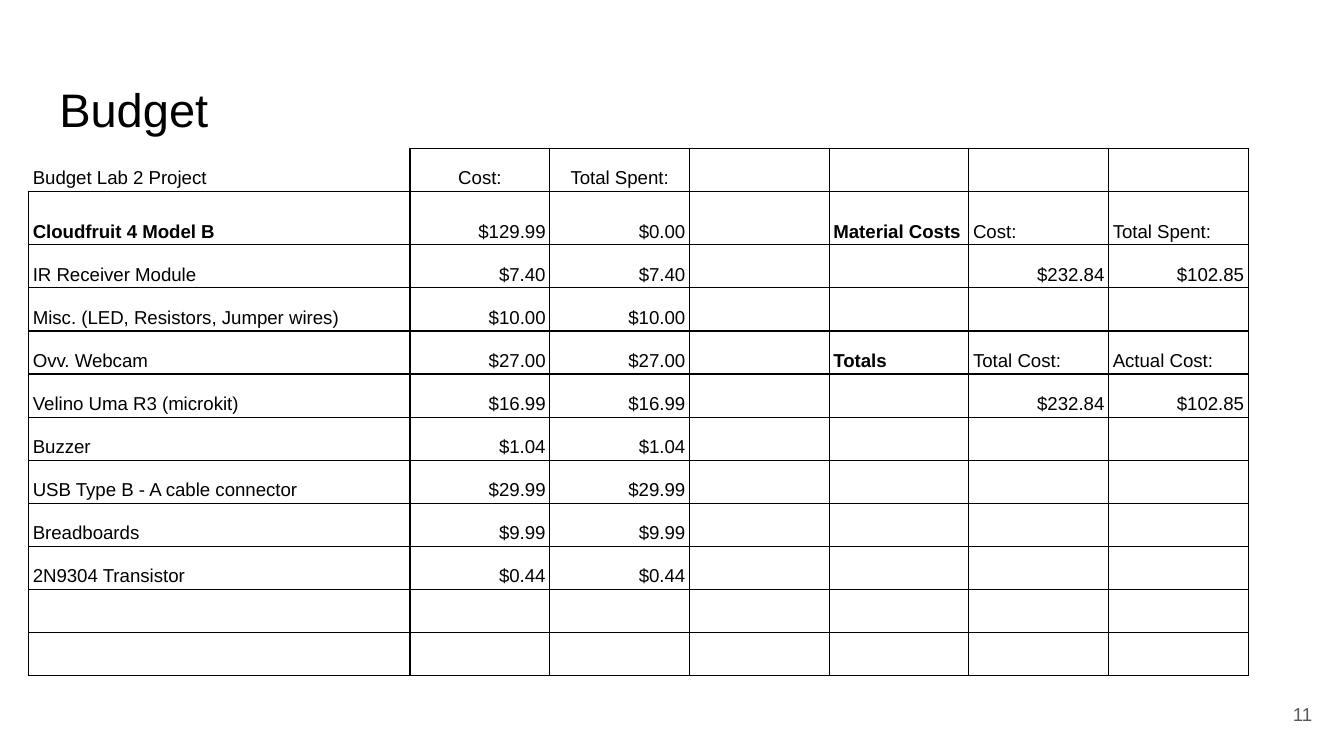
from lxml.etree import SubElement as Sub
from pptx import Presentation
from pptx.dml.color import RGBColor as Rgb
from pptx.enum.text import MSO_ANCHOR as Anchor, MSO_AUTO_SIZE as Fit, PP_ALIGN as Align
from pptx.oxml.ns import qn
from pptx.util import Cm, Pt

BLACK, GREY = "000000", "595959"
COLS = [7.21] + [2.64] * 6
HEAD = ["Budget Lab 2 Project", "Cost:", "Total Spent:"]
ITEMS = [
    ("Cloudfruit 4 Model B", "$129.99", "$0.00"),
    ("IR Receiver Module", "$7.40", "$7.40"),
    ("Misc. (LED, Resistors, Jumper wires)", "$10.00", "$10.00"),
    ("Ovv. Webcam", "$27.00", "$27.00"),
    ("Velino Uma R3 (microkit)", "$16.99", "$16.99"),
    ("Buzzer", "$1.04", "$1.04"),
    ("USB Type B - A cable connector", "$29.99", "$29.99"),
    ("Breadboards", "$9.99", "$9.99"),
    ("2N9304 Transistor", "$0.44", "$0.44"),
]
# Side blocks, keyed by table row, fill the last three columns
SUMS = {
    1: ("Material Costs", "Cost:", "Total Spent:"),
    2: ("", "$232.84", "$102.85"),
    4: ("Totals", "Total Cost:", "Actual Cost:"),
    5: ("", "$232.84", "$102.85"),
}
BOLD = {ITEMS[0][0], "Material Costs", "Totals"}
BLANK = 2  # empty rows at the foot


def paint(font, color):
    font.color.rgb = Rgb.from_string(color)


def write(para, text, size, color=BLACK, bold=False):
    run = para.add_run()
    run.text = text
    run.font.name = "Arial"
    run.font.size = Pt(size)
    run.font.bold = bold
    paint(run.font, color)


def place(shape, box):
    shape.left, shape.top, shape.width, shape.height = map(Cm, box)


def pad(frame, gap):
    frame.margin_left = frame.margin_right = Cm(gap)
    frame.margin_top = frame.margin_bottom = Cm(gap)


def add_title(slide, box):
    title = slide.shapes.title
    place(title, box)
    frame = title.text_frame
    pad(frame, 0.25)
    frame.auto_size = Fit.NONE
    frame.vertical_anchor = Anchor.BOTTOM
    para = frame.paragraphs[0]
    para.alignment = Align.LEFT
    write(para, "Budget", 25.2)


def add_number(slide, box):
    frame = slide.shapes.add_textbox(*map(Cm, box)).text_frame
    pad(frame, 0.25)
    frame.word_wrap = True
    frame.vertical_anchor = Anchor.MIDDLE
    para = frame.paragraphs[0]
    para.alignment = Align.RIGHT
    write(para, "11", 10, GREY)


def edge(cell, sides):
    """Rule the given sides of a cell and clear the others."""
    props = cell._tc.get_or_add_tcPr()
    for side in "LRTB":
        line = Sub(props, qn(f"a:ln{side}"), w=str(Pt(0.75)))
        if side in sides:
            fill = Sub(line, qn("a:solidFill"))
            Sub(fill, qn("a:srgbClr"), val=BLACK)
        else:
            Sub(line, qn("a:noFill"))


def fill_cell(cell, text, head, corner):
    edge(cell, "RB" if corner else "LRTB")
    cell.fill.background()
    cell.margin_left = cell.margin_right = Cm(0.08)
    cell.margin_top = cell.margin_bottom = Cm(0.05)
    cell.vertical_anchor = Anchor.BOTTOM
    para = cell.text_frame.paragraphs[0]
    para.line_spacing = 1.15
    if not text:
        Sub(para._p, qn("a:endParaRPr"), sz="1000")
        return
    if text.startswith("$"):
        para.alignment = Align.RIGHT
    elif head and not corner:
        para.alignment = Align.CENTER
    else:
        para.alignment = Align.LEFT
    write(para, text, 10, bold=text in BOLD)


def add_budget(slide, box):
    rows = [HEAD, *ITEMS] + [("", "", "")] * BLANK
    left, top, width, height = box
    table = slide.shapes.add_table(len(rows), len(COLS), *map(Cm, box)).table
    table.first_row = table.horz_banding = False
    for col, size in zip(table.columns, COLS):
        col.width = Cm(size * width / sum(COLS))
    tall = 1.01
    step = (height - tall) / (len(rows) - 1)
    for r, row in enumerate(rows):
        table.rows[r].height = Cm(tall if r == 1 else step)
        texts = [*row, "", *SUMS.get(r, ("", "", ""))]
        for c, text in enumerate(texts):
            fill_cell(table.cell(r, c), text, r == 0, r == c == 0)


def main():
    deck = Presentation()
    deck.slide_width, deck.slide_height = Cm(25.4), Cm(14.29)
    slide = deck.slides.add_slide(deck.slide_layouts[5])
    add_title(slide, (0.87, 1.24, 23.67, 1.6))
    add_number(slide, (23.53, 12.96, 1.52, 1.09))
    add_budget(slide, (0.54, 2.8, 23.05, 9.98))
    deck.save("out.pptx")


if __name__ == "__main__":
    main()
